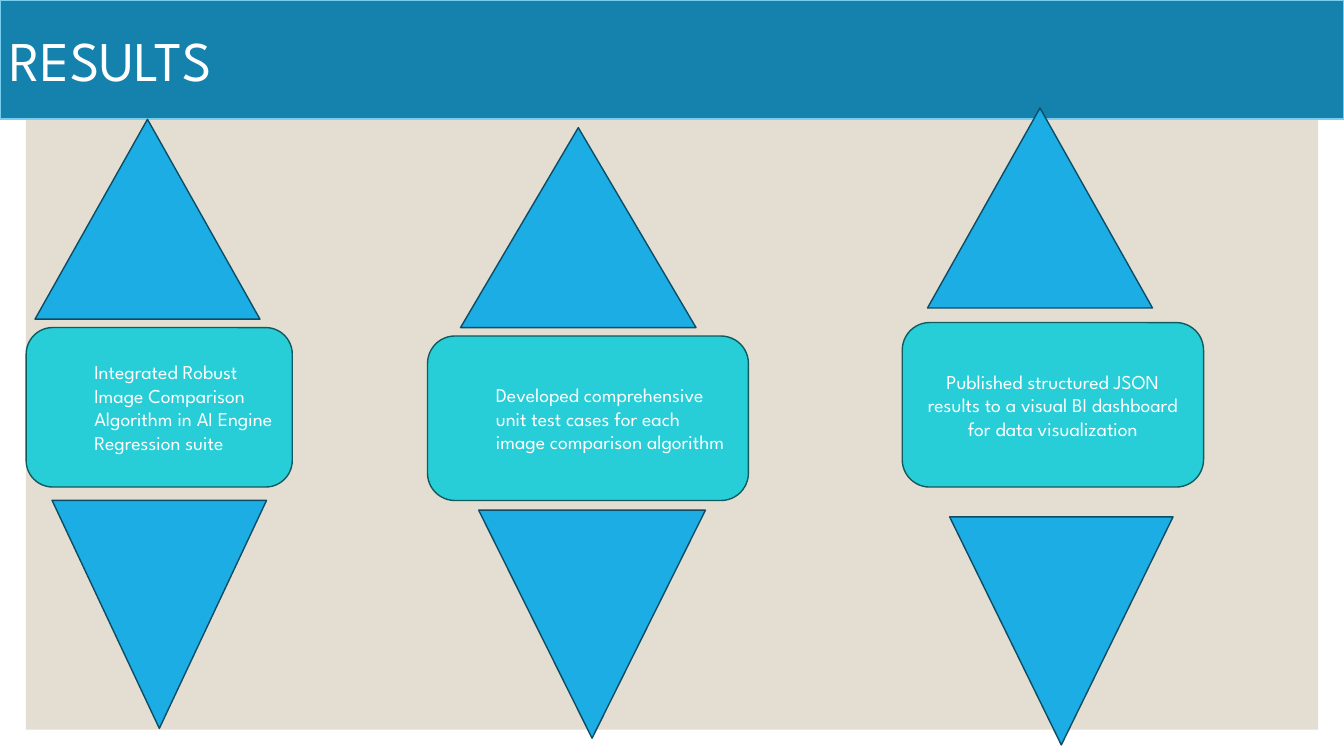
from dataclasses import dataclass

from pptx import Presentation
from pptx.dml.color import RGBColor
from pptx.enum.shapes import MSO_SHAPE as SHAPE
from pptx.enum.text import MSO_ANCHOR as ANCHOR, PP_ALIGN as ALIGN
from pptx.shapes.autoshape import Shape
from pptx.slide import Slide
from pptx.util import Pt

FONT = "League Spartan"
WHITE = RGBColor(0xFF, 0xFF, 0xFF)
SAND = RGBColor(0xE3, 0xDE, 0xD1)
BANNER = RGBColor(0x14, 0x82, 0xAC)
BANNER_EDGE = RGBColor(0x77, 0xCE, 0xEF)
BLUE = RGBColor(0x1C, 0xAD, 0xE4)
BLUE_EDGE = RGBColor(0x0C, 0x4C, 0x64)
TEAL = RGBColor(0x27, 0xCE, 0xD7)
TEAL_EDGE = RGBColor(0x11, 0x5A, 0x5E)

SLIDE_W, SLIDE_H = 960, 540
UP_H, DOWN_H = 142.8, 162.9


@dataclass(frozen=True)
class Box:
    left: float
    top: float
    width: float
    height: float


@dataclass(frozen=True)
class Result:
    text: str
    card: Box
    up: Box
    down: Box
    align: ALIGN = ALIGN.LEFT
    indent: float = 0


RESULTS = [
    Result("Integrated Robust Image Comparison Algorithm in AI Engine Regression suite",
           Box(18.7, 234, 190.1, 113.9), Box(25, 85.2, 160.7, UP_H),
           Box(37.2, 357.4, 153.2, DOWN_H), indent=36),
    Result("Developed comprehensive unit test cases for each image comparison algorithm",
           Box(305.4, 240, 229.2, 117.5), Box(329, 91.2, 168.2, UP_H),
           Box(341.9, 364.4, 162, DOWN_H), indent=36),
    Result("Published structured JSON results to a visual BI dashboard for data visualization",
           Box(644.5, 230.4, 215.2, 117.5), Box(662.5, 77.2, 160.7, UP_H),
           Box(678.3, 369.2, 159.6, DOWN_H), align=ALIGN.CENTER),
]


def add_box(s: Slide, kind: SHAPE, box: Box, fill: RGBColor,
            edge: RGBColor | None = None, weight: float = 1, rotation: float = 0) -> Shape:
    sp = s.shapes.add_shape(kind, Pt(box.left), Pt(box.top), Pt(box.width), Pt(box.height))
    sp.shadow.inherit = False
    sp.rotation = rotation
    sp.fill.solid()
    sp.fill.fore_color.rgb = fill
    if edge is None:
        sp.line.fill.background()
    else:
        sp.line.color.rgb = edge
        sp.line.width = Pt(weight)
    return sp


def write(sp: Shape, text: str, *, size: float, align: ALIGN = ALIGN.LEFT,
          indent: float = 0) -> None:
    tf = sp.text_frame
    tf.word_wrap = True
    tf.vertical_anchor = ANCHOR.MIDDLE
    p = tf.paragraphs[0]
    p.alignment = align
    if indent:
        p.level = 1
        p._p.get_or_add_pPr().set("marL", str(Pt(indent)))
    r = p.add_run()
    r.text = text
    r.font.name = FONT
    r.font.size = Pt(size)
    r.font.color.rgb = WHITE


def main() -> None:
    prs = Presentation()
    prs.slide_width, prs.slide_height = Pt(SLIDE_W), Pt(SLIDE_H)
    s = prs.slides.add_slide(prs.slide_layouts[6])

    add_box(s, SHAPE.RECTANGLE, Box(18.5, 18.5, 923, 502.6), SAND)
    banner = add_box(s, SHAPE.RECTANGLE, Box(0, 0, SLIDE_W, 85), BANNER, BANNER_EDGE, 1.5)
    write(banner, "RESULTS", size=40)

    for result in RESULTS:
        add_box(s, SHAPE.ISOSCELES_TRIANGLE, result.up, BLUE, BLUE_EDGE)
        add_box(s, SHAPE.ISOSCELES_TRIANGLE, result.down, BLUE, BLUE_EDGE, rotation=180)
        card = add_box(s, SHAPE.ROUNDED_RECTANGLE, result.card, TEAL, TEAL_EDGE)
        write(card, result.text, size=14, align=result.align, indent=result.indent)

    prs.save("out.pptx")


if __name__ == "__main__":
    main()
